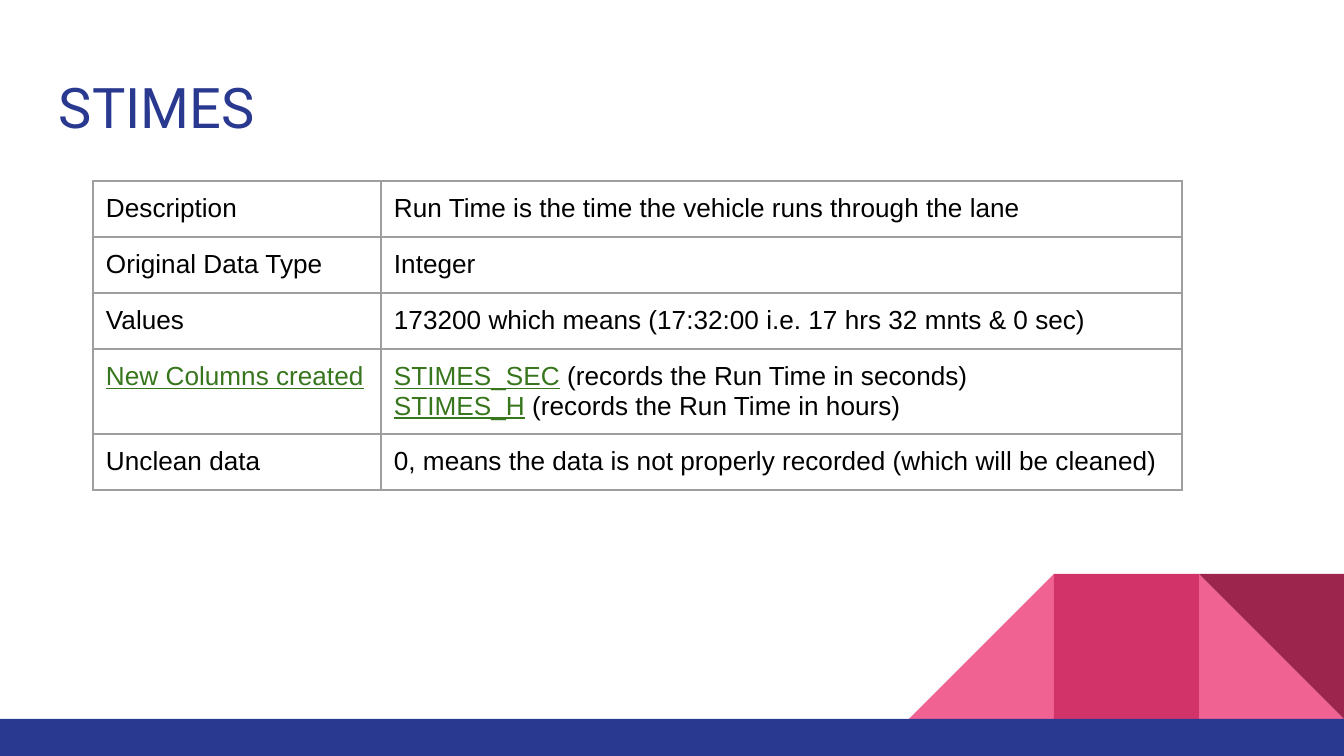
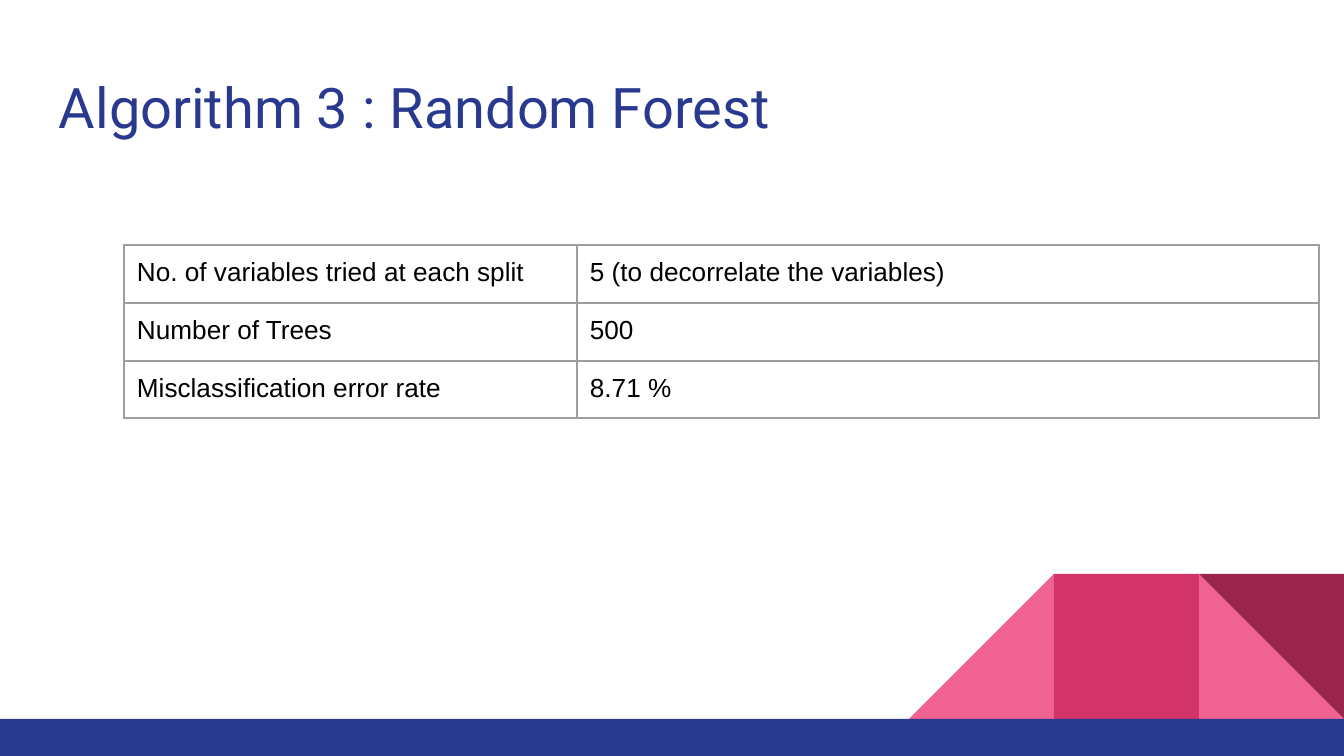
from lxml import etree
from pptx import Presentation
from pptx import util as u
from pptx.dml.color import RGBColor
from pptx.enum import shapes, text
from pptx.oxml import ns

W, H = 1344, 756
SCALE = 9144000 / W
INSET = 13
BAR_TOP = 719
TILE = 145

NAVY = RGBColor(0x2A, 0x39, 0x90)
PINK = RGBColor(0xF0, 0x62, 0x92)
ROSE = RGBColor(0xD2, 0x33, 0x69)
WINE = RGBColor(0x9C, 0x25, 0x4D)
GREEN = RGBColor(0x38, 0x76, 0x1D)
BLACK = RGBColor(0, 0, 0)
GRAY = RGBColor(0x9E, 0x9E, 0x9E)

STIMES_ROWS = [
    ("Description", "Run Time is the time the vehicle runs through the lane"),
    ("Original Data Type", "Integer"),
    ("Values", "173200 which means (17:32:00 i.e. 17 hrs 32 mnts & 0 sec)"),
    ("*New Columns created*",
     "*STIMES_SEC* (records the Run Time in seconds)\n"
     "*STIMES_H* (records the Run Time in hours)"),
    ("Unclean data",
     "0, means the data is not properly recorded (which will be cleaned)"),
]
FOREST_ROWS = [
    ("No. of variables tried at each split", "5 (to decorrelate the variables)"),
    ("Number of Trees", "500"),
    ("Misclassification error rate", "8.71 %"),
]


def px(n):
    """Turn px into EMU."""
    return u.Emu(round(n * SCALE))


def write(p, words, font="Arial", size=14, color=BLACK, underline=False):
    """Add one formatted run to a paragraph."""
    r = p.add_run()
    r.text = words
    r.font.name, r.font.size = font, u.Pt(size)
    r.font.bold, r.font.underline = False, underline
    r.font.color.rgb = color


def add_block(s, kind, x, y, w, h, color, rotation=0):
    """Add a plain filled shape."""
    sp = s.shapes.add_shape(kind, px(x), px(y), px(w), px(h))
    sp.shadow.inherit = False
    sp.fill.solid()
    sp.fill.fore_color.rgb = color
    sp.line.fill.background()
    sp.rotation = rotation


def add_footer(s):
    """Draw the row of tiles standing on the bottom bar."""
    triangle = shapes.MSO_SHAPE.RIGHT_TRIANGLE
    square = shapes.MSO_SHAPE.RECTANGLE
    tiles = [(1, triangle, PINK, 0), (3, triangle, PINK, 270),
             (2, square, ROSE, 0), (1, triangle, WINE, 180)]
    for from_right, kind, color, rotation in tiles:
        add_block(s, kind, W - from_right * TILE, BAR_TOP - TILE,
                  TILE, TILE, color, rotation)
    add_block(s, square, 0, BAR_TOP, W, H - BAR_TOP, NAVY)


def add_title(s, words, x, y, w, h):
    """Place and format the title placeholder."""
    sp = s.shapes.title
    sp.left, sp.top, sp.width, sp.height = px(x), px(y), px(w), px(h)
    tf = sp.text_frame
    tf.word_wrap = True
    tf.auto_size = text.MSO_AUTO_SIZE.NONE
    tf.vertical_anchor = text.MSO_ANCHOR.TOP
    tf.margin_left = tf.margin_right = tf.margin_top = tf.margin_bottom = px(INSET)
    p = tf.paragraphs[0]
    p.alignment = text.PP_ALIGN.LEFT
    write(p, words, font="Roboto", size=30, color=NAVY)


def add_borders(cell):
    """Give a cell a thin gray line on each side."""
    tcPr = cell._tc.get_or_add_tcPr()
    for side in ("a:lnL", "a:lnR", "a:lnT", "a:lnB"):
        ln = etree.SubElement(tcPr, ns.qn(side), w=str(u.Pt(0.75)))
        fill = etree.SubElement(ln, ns.qn("a:solidFill"))
        etree.SubElement(fill, ns.qn("a:srgbClr"), val=str(GRAY))


def fill_cell(cell, words):
    """Write a cell, with starred words green and underlined."""
    cell.margin_left = cell.margin_right = px(INSET)
    cell.margin_top = cell.margin_bottom = px(INSET)
    add_borders(cell)
    cell.fill.background()
    tf = cell.text_frame
    for i, line in enumerate(words.split("\n")):
        p = tf.add_paragraph() if i else tf.paragraphs[0]
        for j, part in enumerate(line.split("*")):
            if part:
                marked = j % 2 == 1
                write(p, part, color=GREEN if marked else BLACK, underline=marked)


def add_grid(s, rows, x, y, widths, heights):
    """Add a table with the given column widths and row heights."""
    table = s.shapes.add_table(len(rows), len(widths), px(x), px(y),
                               px(sum(widths)), px(sum(heights))).table
    table.first_row = table.horz_banding = False
    for column, width in zip(table.columns, widths):
        column.width = px(width)
    for row, height, words in zip(table.rows, heights, rows):
        row.height = px(height)
        for cell, value in zip(row.cells, words):
            fill_cell(cell, value)


def add_table_slide(prs, title, rows, x, y, widths, heights):
    """Add a slide with a title, a table and the footer."""
    s = prs.slides.add_slide(prs.slide_layouts[5])
    add_footer(s)
    add_title(s, title, 46, 60, 1252, 89)
    add_grid(s, rows, x, y, widths, heights)


def main():
    """Build and save the presentation."""
    prs = Presentation()
    prs.slide_width, prs.slide_height = px(W), px(H)
    add_table_slide(prs, "STIMES", STIMES_ROWS, 93, 181,
                    (288, 801), (56, 56, 56, 85, 56))
    add_table_slide(prs, "Algorithm 3 : Random Forest", FOREST_ROWS, 124, 245,
                    (453, 742), (58, 58, 57))
    prs.save("out.pptx")


if __name__ == "__main__":
    main()
